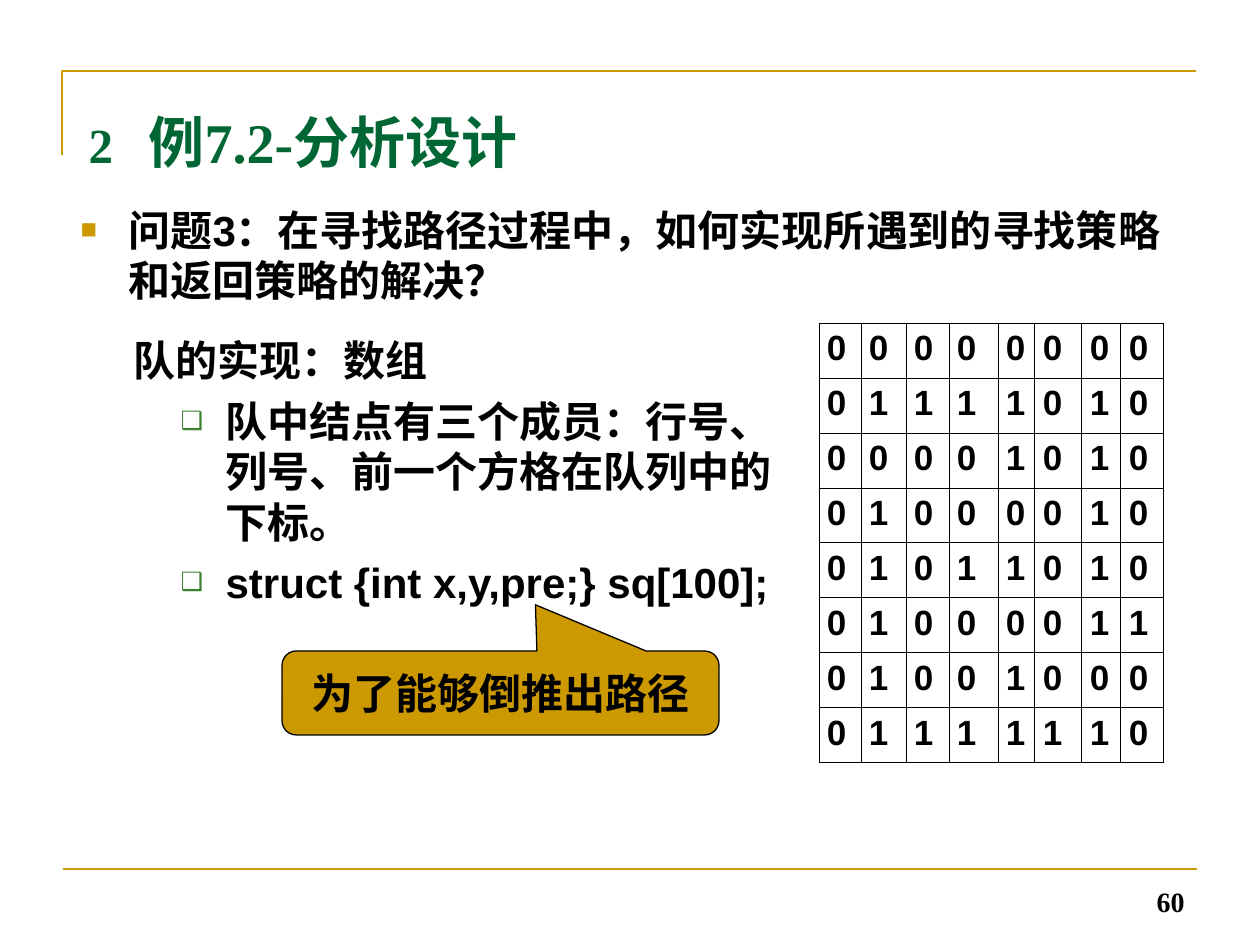
from lxml.etree import SubElement
from pptx import Presentation
from pptx.dml.color import RGBColor
from pptx.enum.shapes import MSO_CONNECTOR, MSO_SHAPE
from pptx.enum.text import MSO_ANCHOR, MSO_AUTO_SIZE, PP_ALIGN
from pptx.oxml.ns import qn
from pptx.util import Pt

EMU_PER_PX = 914400 / 126
COLORS = {"gold": "CC9900", "green": "006633", "leaf": "3B812F", "ink": "000000"}
SERIF = "Times New Roman"
SANS = "Arial"
COLUMN_WIDTHS = [42, 45, 43, 49, 37, 47, 39, 43]
ROW_HEIGHT = 55
MAZE = [
    "00000000",
    "01111010",
    "00001010",
    "01000010",
    "01011010",
    "01000011",
    "01001000",
    "01111110",
]


def px(length):
    return round(length * EMU_PER_PX)


def rgb(color):
    return RGBColor.from_string(COLORS[color])


class SlideBuilder:
    def __init__(self, slide):
        self.slide = slide
        self.shapes = slide.shapes

    def style(self, paragraph, size, font, color="ink"):
        for run in paragraph.runs:
            run.font.size = Pt(size)
            run.font.name = font
            run.font.bold = True
            run.font.color.rgb = rgb(color)

    def place(self, shape, left, top, width, height, anchor=MSO_ANCHOR.TOP):
        shape.left, shape.top = px(left), px(top)
        shape.width, shape.height = px(width), px(height)
        frame = shape.text_frame
        frame.word_wrap = True
        frame.auto_size = MSO_AUTO_SIZE.NONE
        frame.vertical_anchor = anchor
        return frame

    def stroke(self, line, color, width):
        line.color.rgb = rgb(color)
        line.width = Pt(width)

    def corner(self, points):
        outline = self.shapes.build_freeform(*map(px, points[0]))
        outline.add_line_segments([tuple(map(px, point)) for point in points[1:]], close=False)
        corner = outline.convert_to_shape()
        corner.fill.background()
        corner.shadow.inherit = False
        self.stroke(corner.line, "gold", 1.5)

    def rule(self, left, right, y):
        rule = self.shapes.add_connector(
            MSO_CONNECTOR.STRAIGHT, px(left), px(y), px(right), px(y))
        self.stroke(rule.line, "gold", 1.5)
        SubElement(rule._element.spPr, qn("a:effectLst"))

    def title(self, number, heading, box, tab):
        paragraph = self.place(self.shapes.title, *box).paragraphs[0]
        paragraph.text = number + "\t"
        paragraph.alignment = PP_ALIGN.LEFT
        tabs = SubElement(paragraph._p.get_or_add_pPr(), qn("a:tabLst"))
        SubElement(tabs, qn("a:tab"), pos=str(px(tab)), algn="l")
        self.style(paragraph, 28, SERIF, "green")
        heading_run = paragraph.add_run()
        heading_run.text = heading
        self.style(paragraph, 32, SERIF, "green")
        paragraph.runs[0].font.size = Pt(28)

    def bullet(self, paragraph, margin, hang, char, color, percent):
        properties = paragraph._p.get_or_add_pPr()
        properties.set("marL", str(px(margin)))
        properties.set("indent", str(-px(hang)))
        if not char:
            SubElement(properties, qn("a:buNone"))
            return
        bullet_color = SubElement(properties, qn("a:buClr"))
        SubElement(bullet_color, qn("a:srgbClr"), val=COLORS[color])
        SubElement(properties, qn("a:buSzPct"), val=str(percent * 1000))
        SubElement(properties, qn("a:buFont"), typeface=SANS)
        SubElement(properties, qn("a:buChar"), char=char)

    def points(self, index, box, items):
        frame = self.place(self.slide.placeholders[index], *box)
        frame.text = "\n".join(text for text, level, mark in items)
        for order, (paragraph, (_, level, mark)) in enumerate(zip(frame.paragraphs, items)):
            paragraph.level = level
            self.bullet(paragraph, *mark)
            paragraph.space_before = Pt(6 if order else 0)
            self.style(paragraph, 24, SANS)

    def border(self, cell):
        properties = cell._tc.get_or_add_tcPr()
        for side in ("lnL", "lnR", "lnT", "lnB"):
            edge = SubElement(properties, qn("a:" + side), w=str(Pt(0.45)))
            fill = SubElement(edge, qn("a:solidFill"))
            SubElement(fill, qn("a:srgbClr"), val=COLORS["ink"])

    def grid(self, left, top, rows, widths, row_height):
        table = self.shapes.add_table(
            len(rows), len(widths), px(left), px(top),
            px(sum(widths)), px(row_height * len(rows))).table
        table.first_row = table.horz_banding = False
        for column, width in zip(table.columns, widths):
            column.width = px(width)
        for row, digits in zip(table.rows, rows):
            row.height = px(row_height)
            for cell, digit in zip(row.cells, digits):
                cell.text = digit
                cell.margin_left = px(8)
                self.border(cell)
                cell.fill.background()
                self.style(cell.text_frame.paragraphs[0], 20, SANS)

    def callout(self, text, box, adjustments):
        callout = self.shapes.add_shape(MSO_SHAPE.ROUNDED_RECTANGULAR_CALLOUT, *map(px, box))
        for index, value in enumerate(adjustments):
            callout.adjustments[index] = value
        callout.shadow.inherit = False
        callout.fill.solid()
        callout.fill.fore_color.rgb = rgb("gold")
        self.stroke(callout.line, "ink", 0.75)
        paragraph = self.place(callout, *box, MSO_ANCHOR.MIDDLE).paragraphs[0]
        paragraph.text = text
        paragraph.alignment = PP_ALIGN.CENTER
        self.style(paragraph, 24, SERIF)

    def page_number(self, text, box):
        number = self.shapes.add_textbox(*map(px, box))
        paragraph = self.place(number, *box, MSO_ANCHOR.BOTTOM).paragraphs[0]
        paragraph.text = text
        paragraph.alignment = PP_ALIGN.RIGHT
        self.style(paragraph, 16, SERIF)


def main():
    deck = Presentation()
    deck.slide_width, deck.slide_height = px(1260), px(945)
    page = SlideBuilder(deck.slides.add_slide(deck.slide_layouts[3]))

    plain = (48, 48, None, None, None)
    square = (48, 48, "■", "gold", 65)
    box_mark = (92, 45, "❑", "leaf", 60)

    page.corner([(62, 155), (62, 71), (1196, 71)])
    page.rule(63, 1197, 869)
    page.title("2", "例7.2-分析设计", (76, 101, 1134, 158), 60)
    page.points(1, (68, 198, 1134, 113), [
        ("问题3：在寻找路径过程中，如何实现所遇到的寻找策略和返回策略的解决？", 0, square),
    ])
    page.grid(819, 323, MAZE, COLUMN_WIDTHS, ROW_HEIGHT)
    page.points(2, (121, 328, 677, 286), [
        ("队的实现：数组", 0, plain),
        ("队中结点有三个成员：行号、列号、前一个方格在队列中的下标。", 1, box_mark),
        ("struct {int x,y,pre;} sq[100];", 1, box_mark),
    ])
    page.callout("为了能够倒推出路径", (282, 651, 437, 84), (0.08, -1.05, 0.17))
    page.page_number("60", (903, 861, 294, 63))
    deck.save("out.pptx")


if __name__ == "__main__":
    main()
